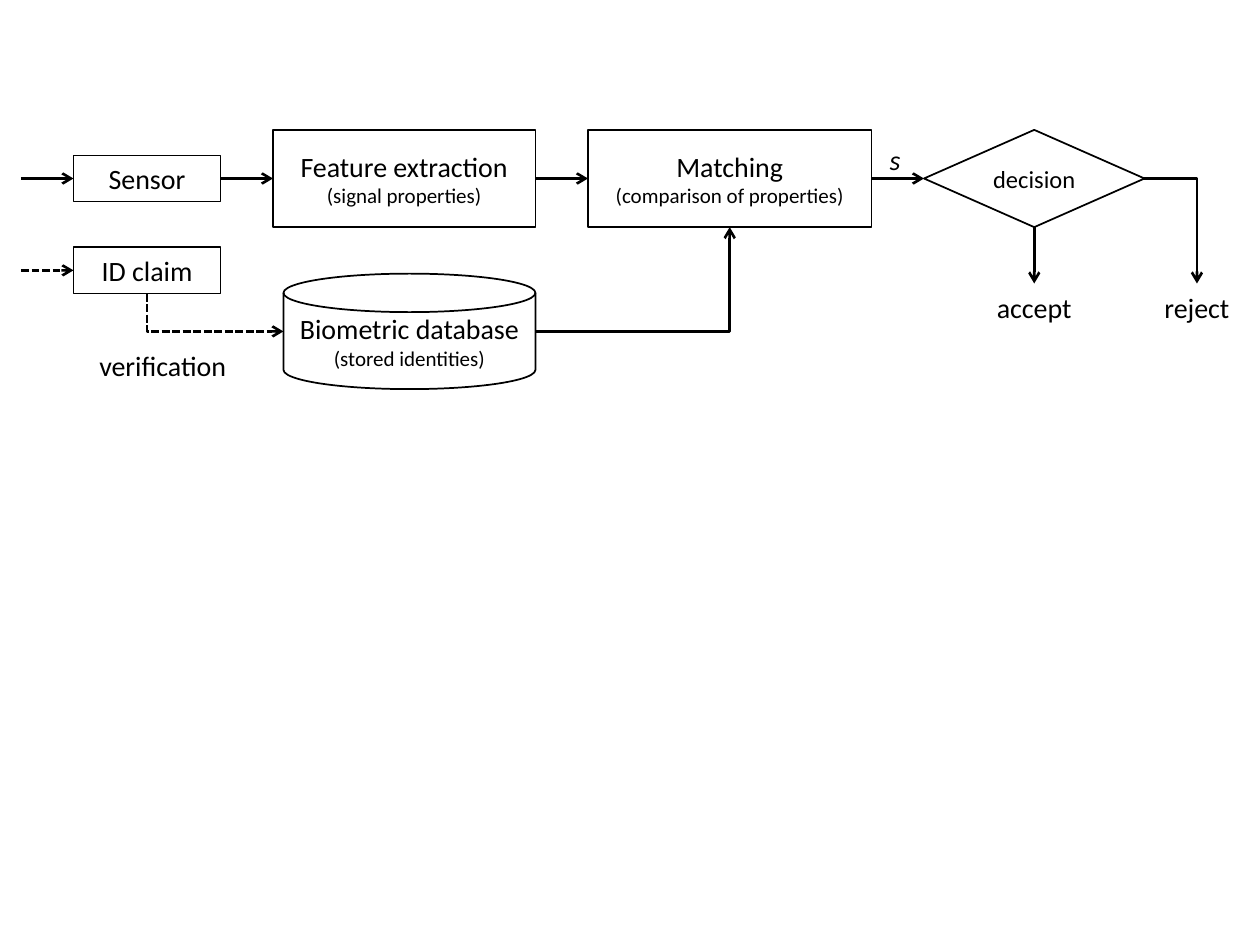
import pptx
import pptx.dml.color
import pptx.enum.dml
import pptx.enum.shapes
import pptx.enum.text
import pptx.oxml
import pptx.oxml.ns
import pptx.util

Pt = pptx.util.Pt
KIND = pptx.enum.shapes.MSO_SHAPE
LINK = pptx.enum.shapes.MSO_CONNECTOR
BLACK = pptx.dml.color.RGBColor(0, 0, 0)
WHITE = pptx.dml.color.RGBColor(255, 255, 255)
TOP, LEFT, BOTTOM, RIGHT = range(4)

ROW, CLAIM, STORE, RESULT = 102, 154.5, 189.4, 175.4  # row centres
# name: kind, left, row centre, width, height, line width, lines of (text, size)
NODES = {
    "sensor": (KIND.RECTANGLE, 42, ROW, 84, 26.6, 0.75, [("Sensor", 16)]),
    "claim": (KIND.RECTANGLE, 42, CLAIM, 84, 26.6, 0.75, [("ID claim", 16)]),
    "feature": (KIND.RECTANGLE, 156, ROW, 150, 55.6, 1,
                [("Feature extraction", 16), ("(signal properties)", 12)]),
    "store": (KIND.FLOWCHART_MAGNETIC_DISK, 162, STORE, 144, 66, 1,
              [("Biometric database", 16), ("(stored identities)", 12)]),
    "match": (KIND.RECTANGLE, 336, ROW, 162, 55.6, 1,
              [("Matching", 16), ("(comparison of properties)", 12)]),
    "decide": (KIND.FLOWCHART_DECISION, 528, ROW, 126, 55.6, 1,
               [("decision", 14)]),
}
# text, left, row centre, width, italic
LABELS = [
    ("accept", 555, RESULT, 72, False),
    ("reject", 648, RESULT, 72, False),
    ("verification", 48, 208.6, 90, False),
    ("s", 495, 91.3, 33, True),
]
CHAIN = ["sensor", "feature", "match", "decide"]
INPUTS = [("sensor", False), ("claim", True)]


def write(shape, lines, bold=False, italic=False, color=BLACK):
    frame = shape.text_frame
    frame.word_wrap = True
    frame.margin_left = frame.margin_right = 0
    frame.vertical_anchor = pptx.enum.text.MSO_ANCHOR.MIDDLE
    for i, (text, size) in enumerate(lines):
        para = frame.add_paragraph() if i else frame.paragraphs[0]
        para.alignment = pptx.enum.text.PP_ALIGN.CENTER
        run = para.add_run()
        run.text = text
        font = run.font
        font.name, font.size = "Calibri", Pt(size)
        font.bold, font.italic = bold, italic
        font.color.rgb = color


def add_node(slide, kind, left, mid, width, height, line, lines):
    shape = slide.shapes.add_shape(
        kind, Pt(left), Pt(mid - height / 2), Pt(width), Pt(height))
    shape.shadow.inherit = False
    shape.fill.solid()
    shape.fill.fore_color.rgb = WHITE
    shape.line.color.rgb = BLACK
    shape.line.width = Pt(line)
    write(shape, lines)
    return shape


def add_arrow(slide, start, end, kind=LINK.STRAIGHT, dash=False):
    link = slide.shapes.add_connector(kind, *map(Pt, start + end))
    link.line.color.rgb = BLACK
    link.line.width = Pt(1.5)
    if dash:
        link.line.dash_style = pptx.enum.dml.MSO_LINE.SQUARE_DOT
    props = link._element.spPr
    tail = pptx.oxml.parse_xml(
        f'<a:tailEnd {pptx.oxml.ns.nsdecls("a")} type="arrow"/>')
    link.line._get_or_add_ln().append(tail)
    props.append(pptx.oxml.parse_xml(
        f'<a:effectLst {pptx.oxml.ns.nsdecls("a")}/>'))
    return link


def add_bend(slide, start, end, down=False, dash=False):
    """Arrow with one corner: across first, or down first when asked."""
    if down:  # a quarter turn about the centre swaps width and height
        x, y = (start[0] + end[0]) / 2, (start[1] + end[1]) / 2
        w, h = end[1] - start[1], end[0] - start[0]
        start, end = (x + w / 2, y - h / 2), (x - w / 2, y + h / 2)
    link = add_arrow(slide, start, end, kind=LINK.ELBOW, dash=dash)
    props = link._element.spPr
    props.find(pptx.oxml.ns.qn("a:prstGeom")).set("prst", "bentConnector2")
    if down:
        props.find(pptx.oxml.ns.qn("a:xfrm")).set("rot", "16200000")


def side(shape, which):
    x, y, w, h = (v.pt for v in
                  (shape.left, shape.top, shape.width, shape.height))
    return {TOP: (x + w / 2, y), LEFT: (x, y + h / 2),
            BOTTOM: (x + w / 2, y + h), RIGHT: (x + w, y + h / 2)}[which]


def main():
    deck = pptx.Presentation()
    deck.slide_width, deck.slide_height = Pt(720), Pt(540)
    slide = deck.slides.add_slide(deck.slide_layouts[6])
    nodes = {name: add_node(slide, *spec) for name, spec in NODES.items()}

    for text, left, mid, width, italic in LABELS:
        box = slide.shapes.add_textbox(
            Pt(left), Pt(mid - 13.3), Pt(width), Pt(26.6))
        write(box, [(text, 16)], italic=italic)

    for a, b in zip(CHAIN, CHAIN[1:]):
        link = add_arrow(slide, side(nodes[a], RIGHT), side(nodes[b], LEFT))
        link.begin_connect(nodes[a], RIGHT)
        link.end_connect(nodes[b], LEFT)

    for name, dash in INPUTS:
        x, y = side(nodes[name], LEFT)
        link = add_arrow(slide, (x - 30, y), (x, y), dash=dash)
        link.end_connect(nodes[name], LEFT)

    x, y = side(nodes["decide"], BOTTOM)
    link = add_arrow(slide, (x, y), (x, 162))
    link.begin_connect(nodes["decide"], BOTTOM)

    add_bend(slide, side(nodes["decide"], RIGHT), (684, 162))
    add_bend(slide, side(nodes["store"], RIGHT), side(nodes["match"], BOTTOM))
    add_bend(slide, side(nodes["claim"], BOTTOM), side(nodes["store"], LEFT),
             down=True, dash=True)
    deck.save("out.pptx")


if __name__ == "__main__":
    main()
